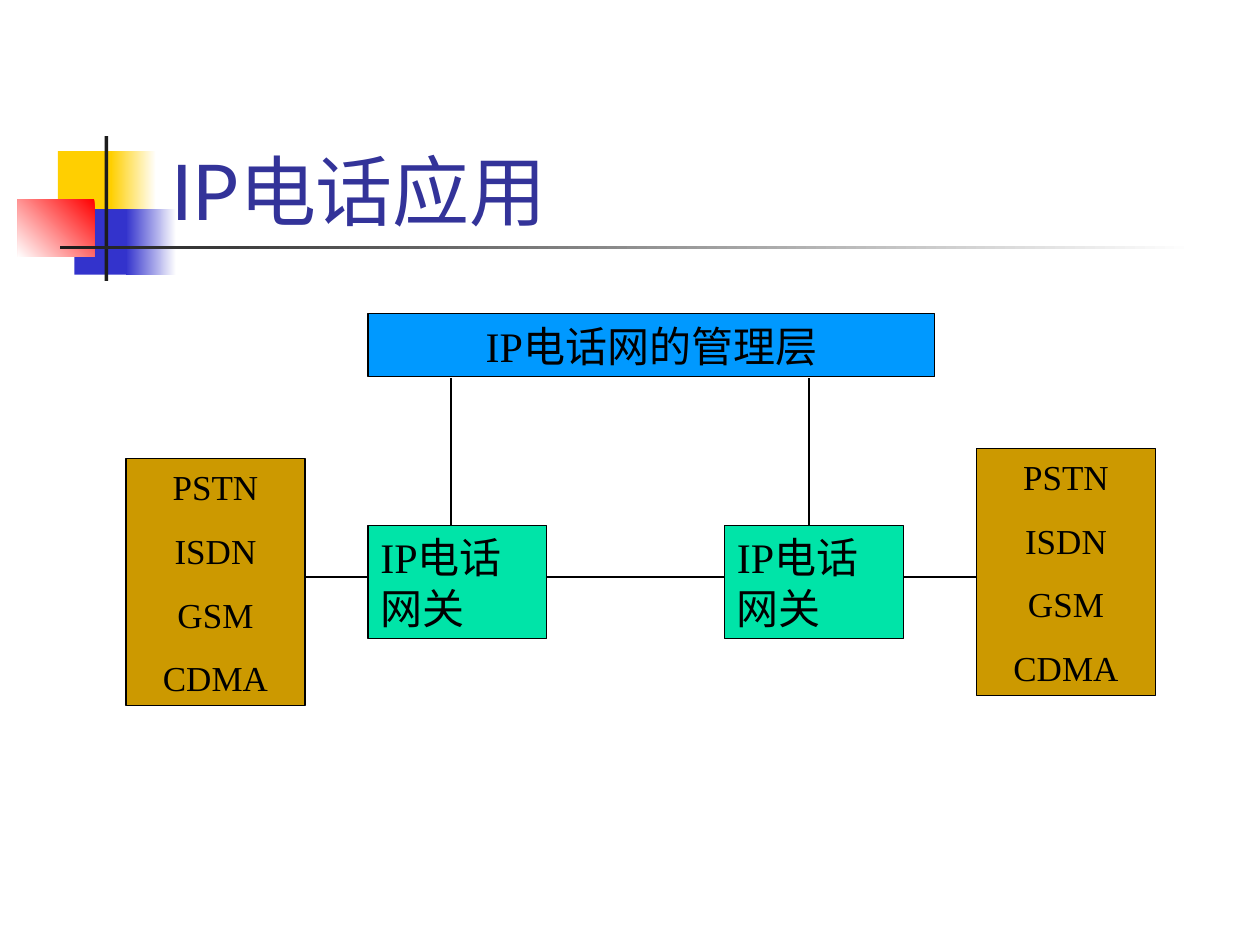
from dataclasses import dataclass

from lxml import etree
from pptx import Presentation
from pptx.dml.color import RGBColor
from pptx.enum.shapes import MSO_CONNECTOR, MSO_SHAPE
from pptx.enum.text import MSO_ANCHOR, PP_ALIGN
from pptx.oxml.ns import qn
from pptx.slide import Slide
from pptx.util import Inches, Pt

RECTANGLE = MSO_SHAPE.RECTANGLE
STRAIGHT = MSO_CONNECTOR.STRAIGHT
BOTTOM, MIDDLE = MSO_ANCHOR.BOTTOM, MSO_ANCHOR.MIDDLE
LEFT, CENTER = PP_ALIGN.LEFT, PP_ALIGN.CENTER

COLORS = {
    "white": "FFFFFF",
    "yellow": "FFCF01",
    "blue": "3333CC",
    "red": "FF0000",
    "charcoal": "1C1C1C",
    "title": "333399",
    "gateway": "00E4A8",
    "network": "CC9900",
    "management": "0099FF",
    "black": "000000",
}
BODY_FONT = "Times New Roman"
TITLE_FONT = "Lato"
BOX_WIDTH = 1.42
LINK_Y = 4.58
GATEWAY_TOP = 4.17
MANAGEMENT_BOTTOM = 3


@dataclass(frozen=True)
class Ornament:
    """A decorative block, plain or fading from one colour to another."""

    left: float
    top: float
    width: float
    height: float
    color: str
    fade_to: str = ""
    angle: int = 180


@dataclass(frozen=True)
class Node:
    """A labelled box of the telephony network."""

    left: float
    top: float
    width: float
    height: float
    color: str
    lines: tuple[str, ...]
    size: int
    align: PP_ALIGN = CENTER


@dataclass(frozen=True)
class Link:
    """A straight line between two points."""

    x1: float
    y1: float
    x2: float
    y2: float


ORNAMENTS = (
    Ornament(0.46, 1.2, 0.48, 0.52, "yellow"),
    Ornament(0.88, 1.2, 0.36, 0.52, "white", "yellow"),
    Ornament(0.59, 1.66, 0.46, 0.52, "blue"),
    Ornament(1, 1.66, 0.4, 0.52, "white", "blue"),
    Ornament(0.14, 1.58, 0.61, 0.46, "red", "white", 225),
    Ornament(0.83, 1.08, 0.03, 1.15, "charcoal"),
    Ornament(0.48, 1.95, 9, 0.03, "white", "charcoal"),
)
GATEWAYS = tuple(
    Node(left, GATEWAY_TOP, BOX_WIDTH, 0.9, "gateway", ("IP电话网关",), 24, LEFT)
    for left in (2.92, 5.75)
)
NETWORKS = tuple(
    Node(left, top, BOX_WIDTH, 1.96, "network", ("PSTN", "ISDN", "GSM", "CDMA"), 20)
    for left, top in ((1, 3.64), (7.75, 3.56))
)
MANAGEMENT = Node(2.92, 2.49, 4.5, 0.5, "management", ("IP电话网的管理层",), 24)
ROW = (NETWORKS[0], *GATEWAYS, NETWORKS[1])
LINKS = tuple(
    Link(before.left + before.width, LINK_Y, after.left, LINK_Y)
    for before, after in zip(ROW, ROW[1:])
) + tuple(Link(x, GATEWAY_TOP, x, MANAGEMENT_BOTTOM) for x in (3.58, 6.42))


def rgb(name: str) -> RGBColor:
    """Return the named palette colour."""
    return RGBColor.from_string(COLORS[name])


def add_block(slide: Slide, block: Ornament | Node):
    """Add a shadowless rectangle with the block's plain colour."""
    shape = slide.shapes.add_shape(
        RECTANGLE,
        Inches(block.left), Inches(block.top),
        Inches(block.width), Inches(block.height),
    )
    shape.shadow.inherit = False
    shape.fill.solid()
    shape.fill.fore_color.rgb = rgb(block.color)
    return shape


def add_run(paragraph, text: str, font: str, size: int, color: str) -> None:
    """Add one formatted run to a paragraph."""
    run = paragraph.add_run()
    run.text = text
    run.font.name = font
    run.font.size = Pt(size)
    run.font.color.rgb = rgb(color)


def draw_ornament(slide: Slide, ornament: Ornament) -> None:
    """Draw a borderless block, with a gradient where it fades."""
    shape = add_block(slide, ornament)
    shape.line.fill.background()
    if ornament.fade_to:
        shape.fill.gradient()
        shape.fill.gradient_angle = ornament.angle
        ends = (ornament.color, ornament.fade_to)
        for stop, color in zip(shape.fill.gradient_stops, ends):
            stop.color.rgb = rgb(color)


def draw_title(slide: Slide, text: str) -> None:
    """Draw the slide heading."""
    frame = slide.shapes.add_textbox(
        Inches(1.26), Inches(0.67), Inches(8.52), Inches(1.25)
    ).text_frame
    frame.word_wrap = True
    frame.vertical_anchor = BOTTOM
    add_run(frame.paragraphs[0], text, TITLE_FONT, 44, "title")


def draw_node(slide: Slide, node: Node) -> None:
    """Draw an outlined box with one paragraph per line."""
    shape = add_block(slide, node)
    shape.line.color.rgb = rgb("black")
    shape.line.width = Pt(0.75)
    frame = shape.text_frame
    frame.word_wrap = True
    frame.vertical_anchor = MIDDLE
    for index, line in enumerate(node.lines):
        paragraph = frame.add_paragraph() if index else frame.paragraphs[0]
        paragraph.alignment = node.align
        if index:
            paragraph.space_before = Pt(12.5)
        add_run(paragraph, line, BODY_FONT, node.size, "black")


def draw_link(slide: Slide, link: Link) -> None:
    """Draw a thin shadowless connector."""
    connector = slide.shapes.add_connector(
        STRAIGHT,
        Inches(link.x1), Inches(link.y1), Inches(link.x2), Inches(link.y2),
    )
    connector.line.color.rgb = rgb("black")
    connector.line.width = Pt(0.75)
    etree.SubElement(connector._element.spPr, qn("a:effectLst"))


def main() -> None:
    """Build and save the slide."""
    presentation = Presentation()
    presentation.slide_width = Inches(10)
    presentation.slide_height = Inches(7.5)
    slide = presentation.slides.add_slide(presentation.slide_layouts[6])
    for ornament in ORNAMENTS:
        draw_ornament(slide, ornament)
    draw_title(slide, "IP电话应用")
    for node in (*GATEWAYS, *NETWORKS, MANAGEMENT):
        draw_node(slide, node)
    for link in LINKS:
        draw_link(slide, link)
    presentation.save("out.pptx")


if __name__ == "__main__":
    main()
